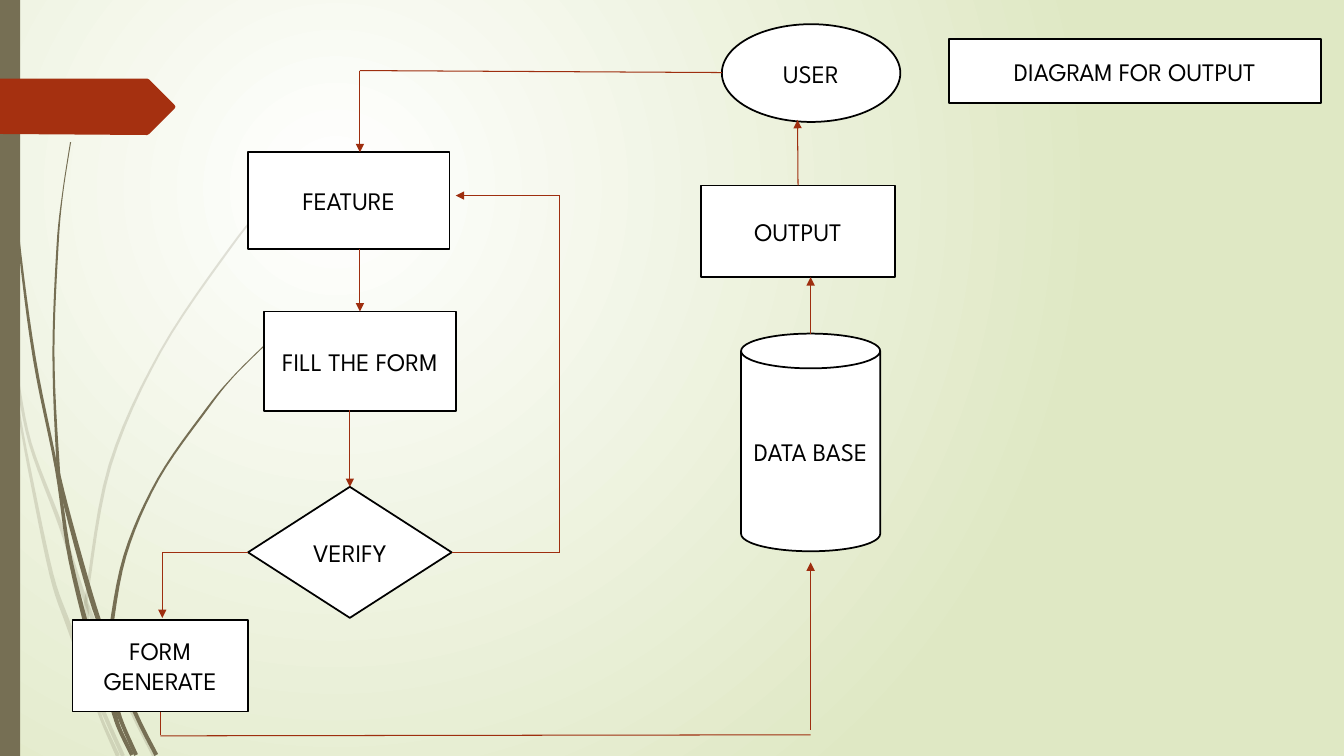
"""Build a flowchart slide that shows how the output reaches the user."""
import math

from lxml import etree
from pptx import Presentation
from pptx import util as u
from pptx.dml.color import RGBColor
from pptx.enum import shapes, text
from pptx.oxml import ns

COLORS = {"white": "FFFFFF", "edge": "DFE8C4", "stem": "766F54",
          "tag": "A53010", "arrow": "9E2E0F", "ink": "000000"}
FONT = "League Spartan"
TITLE = ("DIAGRAM FOR OUTPUT", (9.41, 0.39, 3.69, 0.63))
KIND = shapes.MSO_SHAPE
NODES = [
    ("USER", KIND.OVAL, (7.16, 0.24, 1.77, 0.97)),
    ("FEATURE", KIND.RECTANGLE, (2.46, 1.51, 2, 0.96)),
    ("FILL THE FORM", KIND.RECTANGLE, (2.62, 3.09, 1.9, 0.99)),
    ("VERIFY", KIND.FLOWCHART_DECISION, (2.46, 4.83, 2.02, 1.3)),
    ("FORM GENERATE", KIND.RECTANGLE, (0.72, 6.15, 1.74, 0.91)),
    ("DATA BASE", KIND.CAN, (7.35, 3.31, 1.38, 2.16)),
    ("OUTPUT", KIND.RECTANGLE, (6.95, 1.84, 1.93, 0.91)),
]
# start, end, arrowhead, joined start, joined end
LINES = [
    ((7.16, 0.72), (3.57, 0.7), False, None, None),
    ((3.57, 0.7), (3.57, 1.51), True, None, None),
    ((3.57, 2.47), (3.57, 3.09), True, None, ("FILL THE FORM", 0)),
    ((3.47, 4.07), (3.47, 4.83), True, None, ("VERIFY", 0)),
    ((2.46, 5.48), (1.61, 5.48), False, ("VERIFY", 1), None),
    ((1.61, 5.48), (1.61, 6.13), True, None, None),
    ((4.48, 5.48), (5.55, 5.48), False, ("VERIFY", 3), None),
    ((5.55, 5.48), (5.55, 1.94), False, None, None),
    ((5.55, 1.94), (4.52, 1.94), True, None, None),
    ((1.59, 7.06), (1.59, 7.29), False, ("FORM GENERATE", 2), None),
    ((1.59, 7.3), (8.04, 7.29), False, None, None),
    ((8.04, 7.24), (8.04, 5.58), True, None, None),
    ((8.04, 3.31), (8.04, 2.75), True, None, None),
    ((7.91, 1.84), (7.91, 1.19), True, ("OUTPUT", 0), None),
]
TAG = [(0, 0.78), (1.46, 0.78), (1.48, 0.79), (1.73, 1.04), (1.74, 1.06),
       (1.73, 1.08), (1.48, 1.33), (1.46, 1.34), (0, 1.33)]
# opacity in percent, then centre points with the stem width at each
STEMS = [
    (20, [(0, 2.9, 0.04), (0.1, 3.46, 0.03), (0.16, 3.7, 0.03), (0.3, 4.4, 0.03),
          (0.6, 5.21, 0.04), (0.86, 5.99, 0.04), (1.25, 6.93, 0.04), (1.53, 7.5, 0.04)]),
    (20, [(0.11, 3.5, 0.01), (0.19, 4.1, 0.02), (0.3, 4.7, 0.03), (0.51, 5.7, 0.04),
          (0.68, 6.2, 0.05), (0.93, 6.88, 0.05), (1.01, 7.14, 0.03), (1.17, 7.5, 0.04)]),
    (20, [(3.12, 1.53, 0.01), (2.68, 1.98, 0.01), (2.29, 2.45, 0.02), (1.59, 3.49, 0.02),
          (1.09, 4.62, 0.03), (0.87, 5.84, 0.03), (0.86, 6.05, 0.04), (0.89, 6.46, 0.04),
          (0.97, 6.9, 0.05), (1.05, 7.12, 0.04), (1.22, 7.5, 0.04)]),
    (100, [(0.04, 0, 0.01), (0.05, 0.48, 0.01), (0.07, 1.1, 0.01), (0.18, 2.33, 0.02),
           (0.34, 3.55, 0.03), (0.56, 4.65, 0.03), (0.7, 5.56, 0.04), (0.96, 6.58, 0.05),
           (1.11, 7, 0.05), (1.18, 7.22, 0.04), (1.31, 7.49, 0.04)]),
    (100, [(0.7, 1.41, 0.01), (0.62, 1.93, 0.01), (0.57, 2.45, 0.02), (0.53, 3.49, 0.02),
           (0.57, 4.51, 0.03), (0.62, 4.88, 0.04), (0.9, 5.91, 0.05), (1.08, 6.42, 0.04),
           (1.34, 7.07, 0.04), (1.55, 7.49, 0.04)]),
    (100, [(2.61, 3.44, 0.01), (2.31, 3.74, 0.01), (2.05, 4.06, 0.02), (1.57, 4.75, 0.02),
           (1.24, 5.51, 0.03), (1.09, 6.32, 0.04), (1.09, 6.5, 0.04), (1.13, 6.85, 0.06),
           (1.19, 7.12, 0.04), (1.35, 7.49, 0.04)]),
]


def color(name):
    return RGBColor.from_string(COLORS[name])


def inches(values):
    return [u.Inches(value) for value in values]


def smooth(points, steps=6):
    """Return points on a Catmull-Rom curve through the given points."""
    padded = [points[0], *points, points[-1]]
    curve = []
    for before, start, end, after in zip(padded, padded[1:], padded[2:], padded[3:]):
        for step in range(steps):
            t = step / steps
            curve.append([
                b + t * (c - a) / 2 + t * t * (2 * a - 5 * b + 4 * c - d) / 2
                + t ** 3 * (3 * b - a - 3 * c + d) / 2
                for a, b, c, d in zip(before, start, end, after)])
    return curve + [points[-1]]


def stem_outline(points):
    """Return the outline of a band along the smoothed centre line."""
    curve = smooth(points)
    left, right = [], []
    for index, (x, y, width) in enumerate(curve):
        x0, y0, _ = curve[max(index - 1, 0)]
        x1, y1, _ = curve[min(index + 1, len(curve) - 1)]
        angle = math.atan2(y1 - y0, x1 - x0)
        dx, dy = -math.sin(angle) * width / 2, math.cos(angle) * width / 2
        left.append((x + dx, y + dy))
        right.append((x - dx, y - dy))
    return left + right[::-1]


def paint(shape, name, opacity=100):
    shape.shadow.inherit = False
    shape.fill.solid()
    shape.fill.fore_color.rgb = color(name)
    shape.line.fill.background()
    if opacity < 100:
        rgb = shape.fill._xPr.find(".//" + ns.qn("a:srgbClr"))
        etree.SubElement(rgb, ns.qn("a:alpha"), val=str(opacity * 1000))


def add_polygon(slide, points, name, opacity=100):
    start, *rest = [inches(point) for point in points]
    builder = slide.shapes.build_freeform(*start)
    builder.add_line_segments(rest)
    paint(builder.convert_to_shape(), name, opacity)


def format_box(shape, label):
    shape.fill.solid()
    shape.fill.fore_color.rgb = color("white")
    shape.line.color.rgb = color("ink")
    shape.line.width = u.Pt(1.25)
    frame = shape.text_frame
    frame.text = label
    frame.word_wrap = True
    frame.auto_size = text.MSO_AUTO_SIZE.NONE
    frame.vertical_anchor = text.MSO_ANCHOR.MIDDLE
    paragraph = frame.paragraphs[0]
    paragraph.alignment = text.PP_ALIGN.CENTER
    font = paragraph.runs[0].font
    font.name, font.size, font.color.rgb = FONT, u.Pt(18), color("ink")


def add_line(slide, boxes, start, end, arrowhead, start_join, end_join):
    line = slide.shapes.add_connector(
        shapes.MSO_CONNECTOR.STRAIGHT, *inches(start + end))
    if start_join:
        line.begin_connect(boxes[start_join[0]], start_join[1])
    if end_join:
        line.end_connect(boxes[end_join[0]], end_join[1])
    line.line.color.rgb = color("arrow")
    line.line.width = u.Pt(0.75)
    if arrowhead:
        etree.SubElement(line.line._get_or_add_ln(), ns.qn("a:tailEnd"), type="triangle")
    etree.SubElement(line._element.spPr, ns.qn("a:effectLst"))


def set_background(slide):
    fill = slide.background.fill
    fill.gradient()
    for stop, name in zip(fill.gradient_stops, ("white", "edge")):
        stop.color.rgb = color(name)
    gradient = slide._element.find(".//" + ns.qn("a:gradFill"))
    gradient.remove(gradient.find(ns.qn("a:lin")))
    circle = etree.SubElement(gradient, ns.qn("a:path"), path="circle")
    etree.SubElement(circle, ns.qn("a:fillToRect"),
                     l="50000", t="50000", r="100000", b="100000")


def main():
    presentation = Presentation()
    presentation.slide_width, presentation.slide_height = inches((13.33, 7.5))
    slide = presentation.slides.add_slide(presentation.slide_layouts[5])
    set_background(slide)
    for opacity, points in STEMS:
        add_polygon(slide, stem_outline(points), "stem", opacity)
    bar = slide.shapes.add_shape(KIND.RECTANGLE, *inches((0, 0, 0.2, 7.5)))
    paint(bar, "stem")
    add_polygon(slide, TAG, "tag")

    title = slide.shapes.title
    title.left, title.top, title.width, title.height = inches(TITLE[1])
    format_box(title, TITLE[0])
    boxes = {}
    for label, kind, place in NODES:
        boxes[label] = slide.shapes.add_shape(kind, *inches(place))
        boxes[label].shadow.inherit = False
        format_box(boxes[label], label)
    for line in LINES:
        add_line(slide, boxes, *line)
    presentation.save("out.pptx")


if __name__ == "__main__":
    main()
